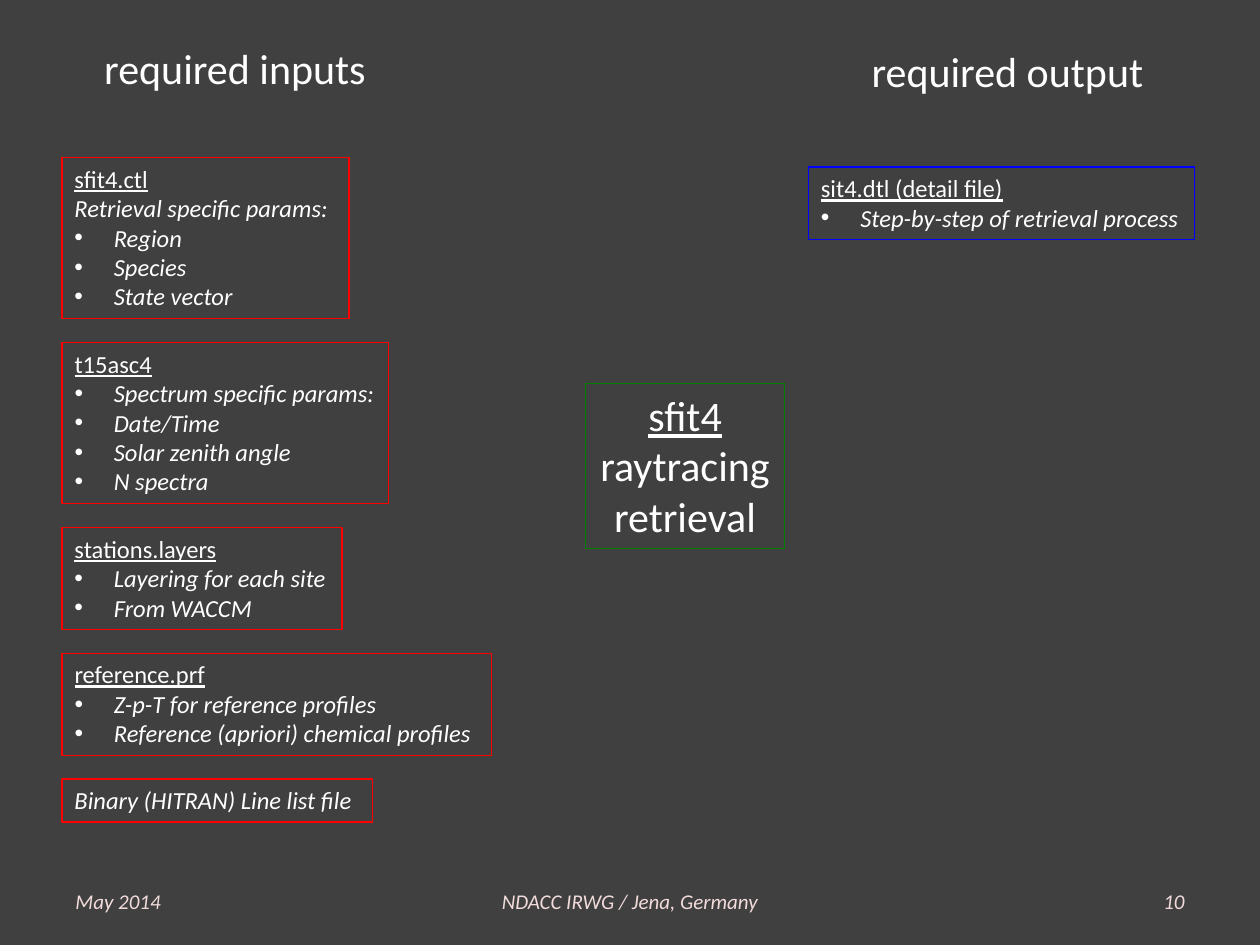
from lxml import etree
from pptx import Presentation
from pptx.dml.color import RGBColor
from pptx.enum.shapes import MSO_SHAPE
from pptx.enum.text import MSO_ANCHOR, MSO_AUTO_SIZE, PP_ALIGN
from pptx.oxml.ns import qn
from pptx.util import Pt

RECT = MSO_SHAPE.RECTANGLE
MIDDLE = MSO_ANCHOR.MIDDLE
TOP = MSO_ANCHOR.TOP
GROW = MSO_AUTO_SIZE.SHAPE_TO_FIT_TEXT
LEFT, CENTER, RIGHT = PP_ALIGN.LEFT, PP_ALIGN.CENTER, PP_ALIGN.RIGHT

FONT = "Calibri"
WHITE, PINK, DARK = "FFFFFF", "F2DCDB", "404040"
RED, GREEN, BLUE = "FF0000", "008000", "0000FF"

# Box height is a padding plus a fixed height per line
LINE_HEIGHT, PADDING, GAP = 16.9, 7.6, 13.6
INDENT = 22.5

# Line styles: underlined heading, italic text, italic bullet, plain text
HEAD, NOTE, BULLET, PLAIN = "head", "note", "bullet", "plain"

INPUTS = [
    (164, [("sfit4.ctl", HEAD), ("Retrieval specific params:", NOTE),
           ("Region", BULLET), ("Species", BULLET), ("State vector", BULLET)]),
    (186.5, [("t15asc4", HEAD), ("Spectrum specific params:", BULLET),
             ("Date/Time", BULLET), ("Solar zenith angle", BULLET),
             ("N spectra", BULLET)]),
    (160, [("stations.layers", HEAD), ("Layering for each site", BULLET),
           ("From WACCM", BULLET)]),
    (245.5, [("reference.prf", HEAD), ("Z-p-T for reference profiles", BULLET),
             ("Reference (apriori) chemical profiles", BULLET)]),
    (177.5, [("Binary (HITRAN) Line list file", NOTE)]),
]
OUTPUT = [("sit4.dtl (detail file)", HEAD),
          ("Step-by-step of retrieval process", BULLET)]
PROGRAM = [("sfit4", HEAD), ("raytracing", PLAIN), ("retrieval", PLAIN)]


def color(value):
    return RGBColor.from_string(value)


def add_bullet(p):
    pPr = p._p.get_or_add_pPr()
    pPr.set("marL", str(Pt(INDENT)))
    pPr.set("indent", str(-Pt(INDENT)))
    etree.SubElement(pPr, qn("a:buFont")).set("typeface", "Arial")
    etree.SubElement(pPr, qn("a:buChar")).set("char", "•")


def write_lines(tf, lines, size, fill=WHITE, align=LEFT):
    tf.text = "\n".join(text for text, _ in lines)
    for p, (_, style) in zip(tf.paragraphs, lines):
        p.alignment = align
        if style == BULLET:
            add_bullet(p)
        for r in p.runs:
            r.font.name = FONT
            r.font.size = Pt(size)
            r.font.color.rgb = color(fill)
            r.font.underline = style == HEAD
            r.font.italic = style in (NOTE, BULLET)


def add_box(slide, x, y, w, h, outline, lines, size=14, align=LEFT):
    sp = slide.shapes.add_shape(RECT, Pt(x), Pt(y), Pt(w), Pt(h))
    sp.shadow.inherit = False
    sp.fill.background()
    sp.line.color.rgb = color(outline)
    sp.line.width = Pt(0.75)
    tf = sp.text_frame
    tf.word_wrap = False
    tf.auto_size = GROW
    tf.vertical_anchor = TOP
    write_lines(tf, lines, size, align=align)


def add_title(slide, x, y, w, text):
    sp = slide.shapes.add_textbox(Pt(x), Pt(y), Pt(w), Pt(36))
    tf = sp.text_frame
    tf.word_wrap = False
    tf.auto_size = GROW
    write_lines(tf, [(text, PLAIN)], 24)


def add_footer(slide, x, w, text, align):
    sp = slide.shapes.add_textbox(Pt(x), Pt(500.5), Pt(w), Pt(28.8))
    tf = sp.text_frame
    tf.word_wrap = True
    tf.vertical_anchor = MIDDLE
    write_lines(tf, [(text, NOTE)], 12, PINK, align)


def box_height(lines):
    return PADDING + LINE_HEIGHT * len(lines)


def main():
    prs = Presentation()
    prs.slide_width, prs.slide_height = Pt(720), Pt(540)
    slide = prs.slides.add_slide(prs.slide_layouts[6])
    slide.background.fill.solid()
    slide.background.fill.fore_color.rgb = color(DARK)

    # Program in the middle
    add_box(slide, 334.5, 219, 114, 94.5, GREEN, PROGRAM, 24, CENTER)

    # Stack of input files
    y = 90
    for width, lines in INPUTS:
        height = box_height(lines)
        add_box(slide, 35.5, y, width, height, RED, lines)
        y += height + GAP

    # Output file
    add_box(slide, 462, 95.5, 220.5, box_height(OUTPUT), BLUE, OUTPUT)

    # Column titles
    add_title(slide, 52.5, 21, 166.5, "required inputs")
    add_title(slide, 491, 22.5, 172, "required output")

    # Footer
    add_footer(slide, 36, 168, "May 2014", LEFT)
    add_footer(slide, 246, 228, "NDACC IRWG / Jena, Germany", CENTER)
    add_footer(slide, 516, 168, "10", RIGHT)

    prs.save("out.pptx")


if __name__ == "__main__":
    main()
